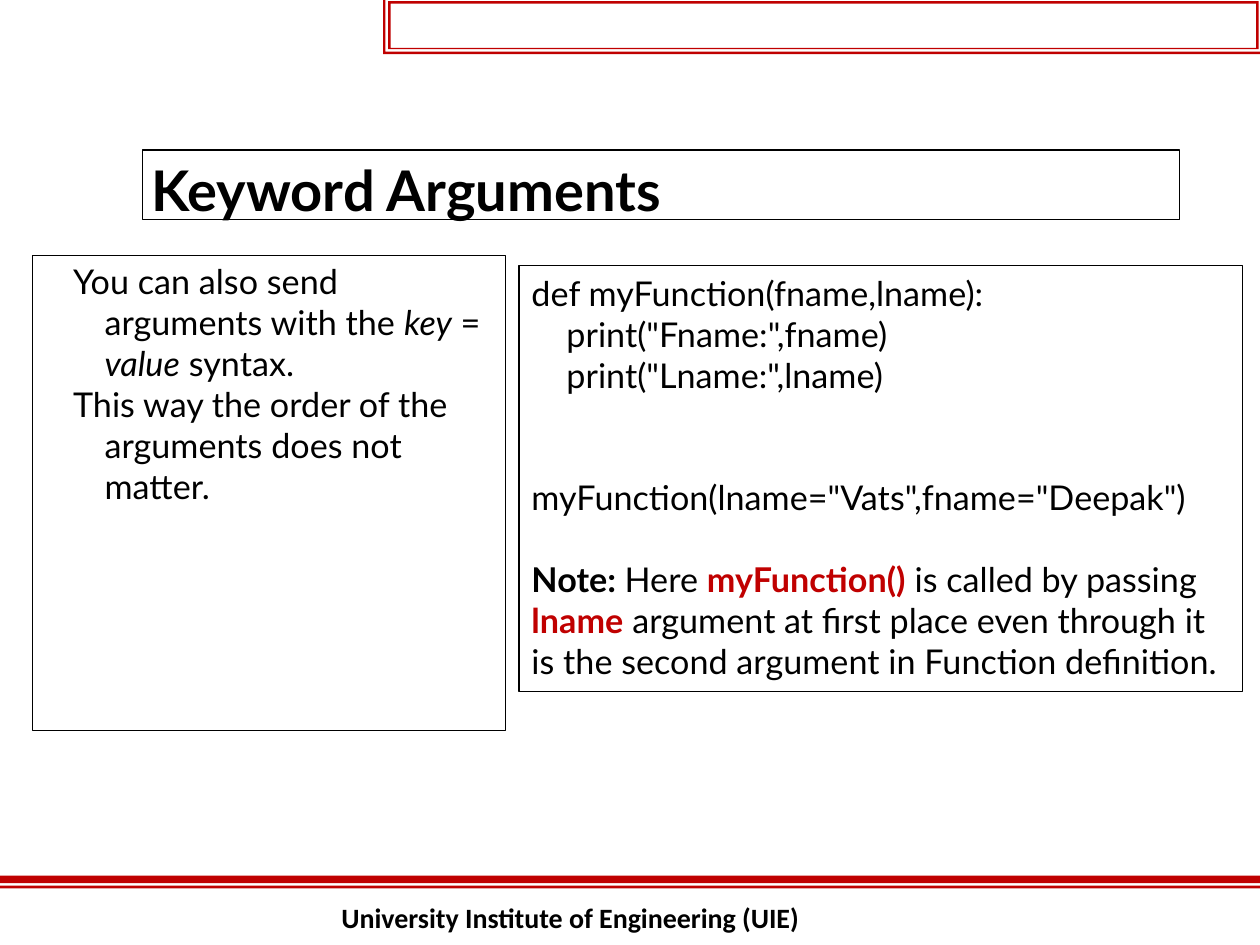
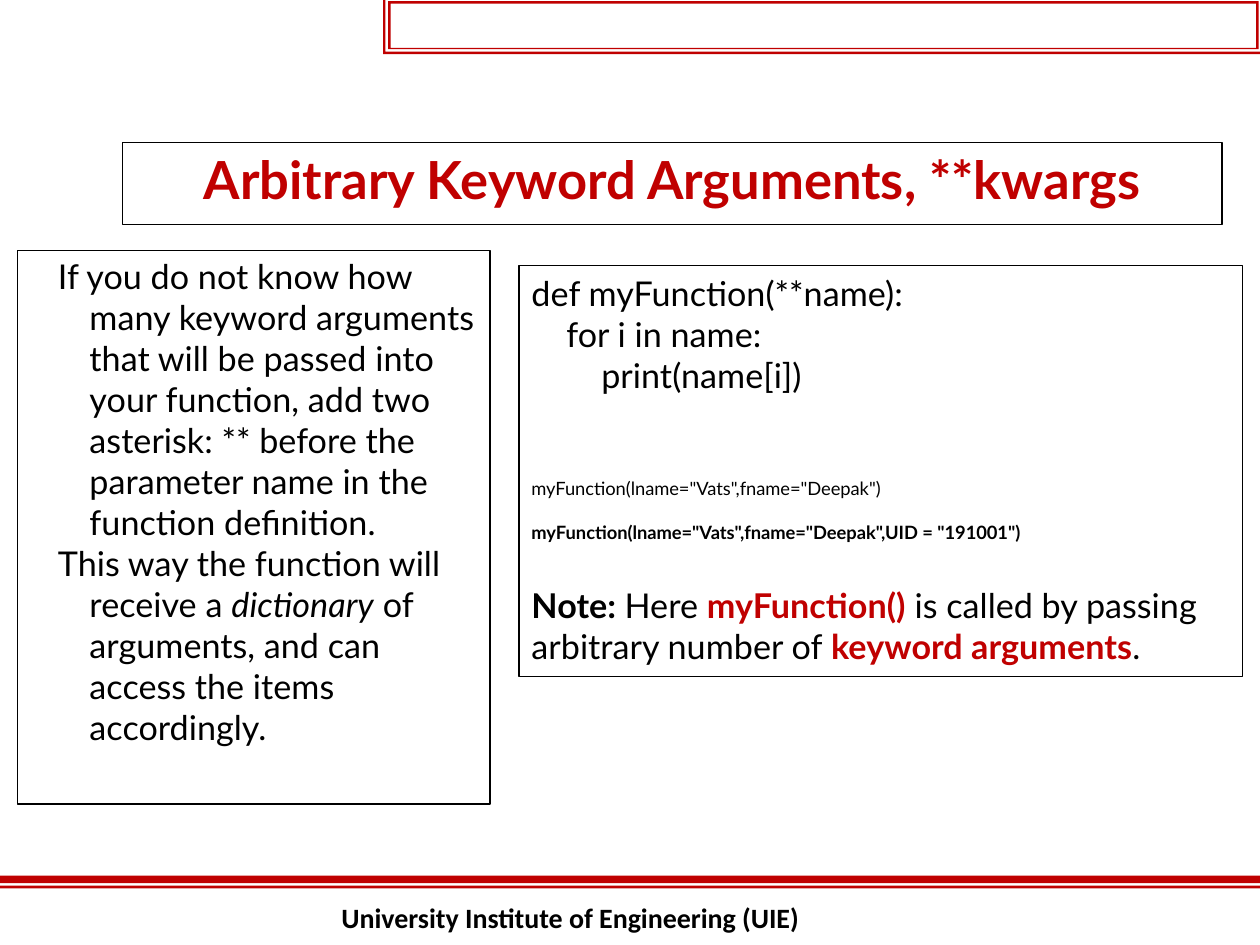
from pptx import Presentation
from pptx import util as u
from pptx.dml.color import RGBColor
from pptx.enum import shapes, text

COLORS = {"black": "000000", "red": "C00000"}
BODY_SIZE, SMALL_SIZE = 19.5, 10.5
LINE = 1.2  # line height as a multiple of the font size


def box_corners(left, top, right, bottom):
    return [(left, top), (right, top), (right, bottom), (left, bottom)]


class Deck:
    def __init__(self):
        self.prs = Presentation()
        self.prs.slide_width, self.prs.slide_height = u.Inches(10), u.Inches(7.5)
        self.slide = None

    def new_slide(self):
        self.slide = self.prs.slides.add_slide(self.prs.slide_layouts[6])
        # Double rule above the footer
        self.red_outline(box_corners(0, 6.95, 10, 7.01), box_corners(0, 7.03, 10, 7.05))
        # Double frame at the top right; the inner loop runs backwards to cut a hole
        self.red_outline(
            box_corners(3.08, 0.01, 9.99, 0.39),
            box_corners(3.1, 0.03, 9.97, 0.38)[::-1],
            [(3.04, 0), (3.06, 0), (3.06, 0.41), (10, 0.41), (10, 0.43), (3.04, 0.43)])
        self.footer()

    def red_outline(self, *contours):
        loops = [[(u.Inches(x), u.Inches(y)) for x, y in contour] for contour in contours]
        builder = self.slide.shapes.build_freeform(*loops[0][0])
        for number, (start, *rest) in enumerate(loops):
            if number:
                builder.move_to(*start)
            builder.add_line_segments(rest, close=True)
        rule = builder.convert_to_shape()
        rule.shadow.inherit = False
        rule.fill.solid()
        rule.fill.fore_color.rgb = RGBColor.from_string(COLORS["red"])
        rule.line.fill.background()

    def footer(self):
        place = map(u.Inches, (2.71, 7.15, 4.59, 0.27))
        frame = self.slide.shapes.add_textbox(*place).text_frame
        self.prepare(frame, 0, 0)
        self.paragraph(frame, "University Institute of Engineering (UIE)", 16,
                       font="Calibri", bold=True)

    def prepare(self, frame, side, end):
        frame.word_wrap = True
        frame.vertical_anchor = text.MSO_ANCHOR.TOP
        frame.margin_left = frame.margin_right = u.Inches(side)
        frame.margin_top = frame.margin_bottom = u.Inches(end)

    def panel(self, left, top, width, height, side=0.07, end=0.04):
        panel = self.slide.shapes.add_shape(
            shapes.MSO_SHAPE.RECTANGLE, *map(u.Inches, (left, top, width, height)))
        panel.shadow.inherit = False
        panel.fill.background()
        panel.line.color.rgb = RGBColor.from_string(COLORS["black"])
        panel.line.width = u.Pt(0.75)
        self.prepare(panel.text_frame, side, end)
        return panel.text_frame

    def paragraph(self, frame, content, size=BODY_SIZE, font="Lato", color="black",
                  bold=False, align=text.PP_ALIGN.LEFT, before=0, hanging=False):
        """Content is a string or a list of strings and (string, style) pairs."""
        first = frame.paragraphs[0]
        paragraph = frame.add_paragraph() if first.runs else first
        paragraph.alignment = align
        if before:
            paragraph.space_before = u.Pt(before)
        if hanging:
            properties = paragraph._p.get_or_add_pPr()
            properties.set("marL", str(u.Inches(0.5)))
            properties.set("indent", str(u.Inches(-0.25)))
        paragraph.font.name, paragraph.font.size = font, u.Pt(size)
        paragraph.font.bold = bold
        paragraph.font.color.rgb = RGBColor.from_string(COLORS[color])
        for part in [content] if isinstance(content, str) else content:
            words, style = (part, "") if isinstance(part, str) else part
            run = paragraph.add_run()
            run.text = words
            if style == "italic":
                run.font.italic = True
            elif style:
                run.font.bold = True
                if style == "key":
                    run.font.color.rgb = RGBColor.from_string(COLORS["red"])

    def title(self, place, words, **style):
        self.paragraph(self.panel(*place), words, bold=True, **style)

    def explanation(self, place, points):
        frame = self.panel(*place)
        for point in points:
            self.paragraph(frame, point, hanging=True)

    def example(self, height, definition, calls, note):
        """Calls are (code, style) pairs, style holding options for paragraph."""
        frame = self.panel(4.12, 2.11, 5.74, height, 0.1, 0.05)
        frame.auto_size = text.MSO_AUTO_SIZE.SHAPE_TO_FIT_TEXT
        for code in definition:
            self.paragraph(frame, code)
        gap = 2 * LINE * BODY_SIZE
        for code, style in calls:
            self.paragraph(frame, code, before=gap, **style)
            gap = LINE * SMALL_SIZE
        self.paragraph(frame, [("Note: ", "bold"), "Here ", ("myFunction()", "key"), *note],
                       before=LINE * BODY_SIZE)


def main():
    deck = Deck()
    call = 'myFunction(lname="Vats",fname="Deepak")'

    # Keyword arguments
    deck.new_slide()
    deck.title((1.13, 1.19, 8.23, 0.55), "Keyword Arguments", size=32)
    deck.explanation((0.26, 2.03, 3.75, 3.77), [
        ["You can also send arguments with the ", ("key", "italic"), " = ",
         ("value", "italic"), " syntax."],
        "This way the order of the arguments does not matter."])
    deck.example(
        3.38,
        ["def myFunction(fname,lname):",
         '    print("Fname:",fname)',
         '    print("Lname:",lname)'],
        [(call, {})],
        [" is called by passing ", ("lname", "key"),
         " argument at first place even through it is the second argument"
         " in Function definition."])

    # Arbitrary keyword arguments
    deck.new_slide()
    deck.title((0.97, 1.13, 8.73, 0.65), "Arbitrary Keyword Arguments, **kwargs",
               size=30, color="red", align=text.PP_ALIGN.CENTER)
    deck.explanation((0.14, 1.99, 3.75, 4.39), [
        "If you do not know how many keyword arguments that will be passed into your"
        " function, add two asterisk: ** before the parameter name in the"
        " function definition.",
        ["This way the function will receive a ", ("dictionary", "italic"),
         " of arguments, and can access the items accordingly."]])
    deck.example(
        3.26,
        ["def myFunction(**name):",
         "    for i in name:",
         "        print(name[i])"],
        [(call, {"size": SMALL_SIZE}),
         ('myFunction(lname="Vats",fname="Deepak",UID = "191001")',
          {"size": SMALL_SIZE, "bold": True})],
        [" is called by passing arbitrary number of ", ("keyword arguments", "key"), "."])

    deck.prs.save("out.pptx")


if __name__ == "__main__":
    main()
